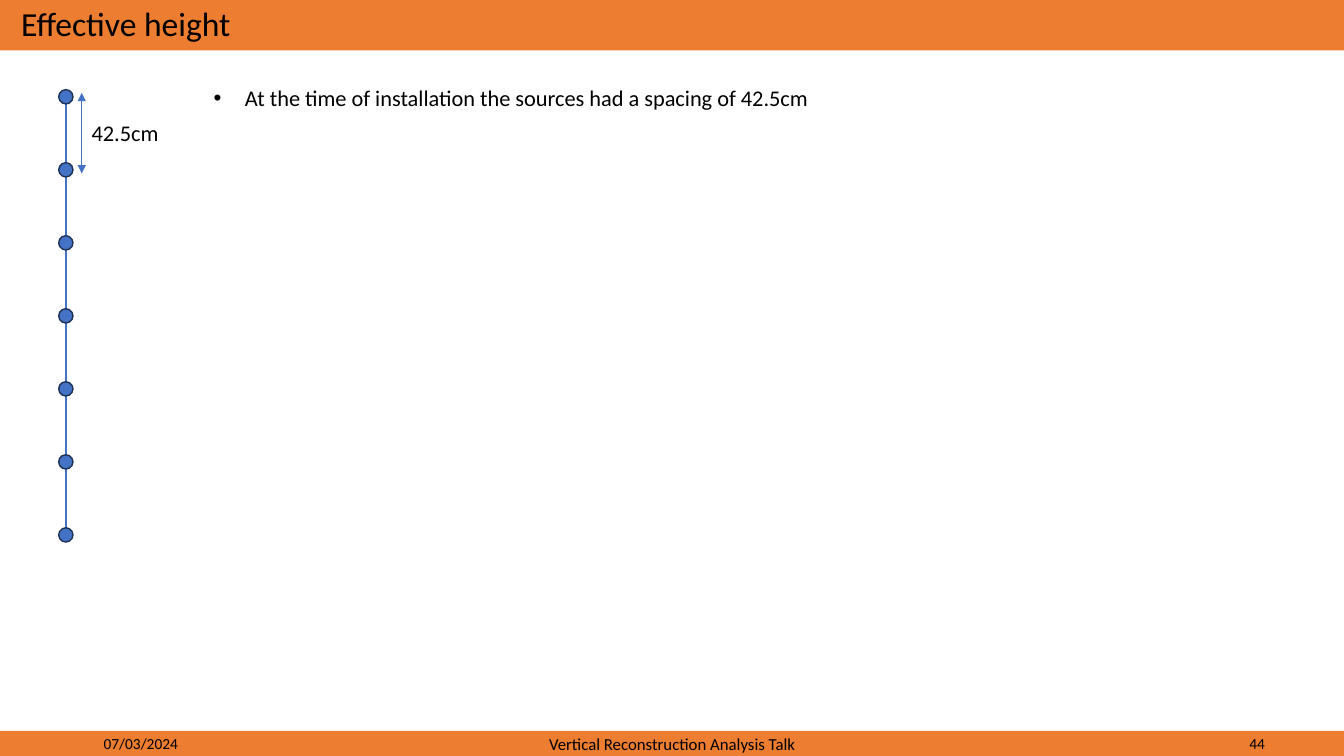
"""Build the slide on the effective height of a string of sources."""
from dataclasses import dataclass

import lxml.etree
import pptx
import pptx.dml.color
import pptx.enum.shapes
import pptx.enum.text
import pptx.oxml.ns
import pptx.shapes.connector
import pptx.slide
import pptx.text.text
import pptx.util

Cm = pptx.util.Cm
Pt = pptx.util.Pt
RGBColor = pptx.dml.color.RGBColor
Align = pptx.enum.text.PP_ALIGN
Anchor = pptx.enum.text.MSO_ANCHOR
Preset = pptx.enum.shapes.MSO_SHAPE
qn = pptx.oxml.ns.qn

ORANGE = RGBColor(0xED, 0x7D, 0x31)
BLUE = RGBColor(0x44, 0x72, 0xC4)
NAVY = RGBColor(0x1E, 0x32, 0x56)
BLACK = RGBColor(0x00, 0x00, 0x00)

SLIDE_WIDTH, SLIDE_HEIGHT = 33.87, 19.05
HEADER_HEIGHT, FOOTER_HEIGHT = 1.27, 0.63
FOOTER_TOP = SLIDE_HEIGHT - FOOTER_HEIGHT
STRING_X = 1.66
SOURCE_COUNT, SOURCE_SIZE = 7, 0.36
FIRST_SOURCE_Y, SOURCE_SPACING = 2.44, 1.84
SPACING_X = 2.06


@dataclass(frozen=True)
class Box:
    left: float
    top: float
    width: float
    height: float


@dataclass(frozen=True)
class Caption:
    text: str
    box: Box
    size: float
    align: Align = Align.LEFT
    anchor: Anchor = Anchor.MIDDLE
    wrap: bool = True


TITLE = Caption("Effective height", Box(0.28, 0, 29.21, HEADER_HEIGHT), 24)
FINDING = Caption("At the time of installation the sources had a spacing of 42.5cm",
                  Box(5.13, 2.0, 15.7, 1.63), 16, anchor=Anchor.TOP, wrap=False)
CAPTIONS = (
    Caption("07/03/2024", Box(2.36, FOOTER_TOP, 7.62, FOOTER_HEIGHT), 11),
    Caption("Vertical Reconstruction Analysis Talk",
            Box(11.23, FOOTER_TOP, 11.43, FOOTER_HEIGHT), 12, Align.CENTER),
    Caption("44", Box(24.51, FOOTER_TOP, 7.62, FOOTER_HEIGHT), 11, Align.RIGHT),
    Caption("42.5cm", Box(SPACING_X, 2.87, 2.21, 0.94), 16,
            anchor=Anchor.TOP, wrap=False),
)
BARS = (
    Box(0, 0, SLIDE_WIDTH, HEADER_HEIGHT),
    Box(0, FOOTER_TOP, SLIDE_WIDTH, FOOTER_HEIGHT),
)


def write(frame: pptx.text.text.TextFrame, caption: Caption) -> None:
    """Put the caption in a text frame and format it."""
    frame.text = caption.text
    frame.word_wrap = caption.wrap
    frame.auto_size = pptx.enum.text.MSO_AUTO_SIZE.NONE
    frame.vertical_anchor = caption.anchor
    line = frame.paragraphs[0]
    line.alignment = caption.align
    line.font.name = "Calibri"
    line.font.size = Pt(caption.size)
    line.font.color.rgb = BLACK


def add_caption(slide: pptx.slide.Slide, caption: Caption) -> None:
    """Add a caption in its own text box."""
    box = caption.box
    label = slide.shapes.add_textbox(
        Cm(box.left), Cm(box.top), Cm(box.width), Cm(box.height))
    write(label.text_frame, caption)


def fill_placeholder(slide: pptx.slide.Slide, index: int,
                     caption: Caption) -> pptx.text.text.TextFrame:
    """Move a placeholder and fill it with the caption."""
    holder, box = slide.placeholders[index], caption.box
    holder.left, holder.top = Cm(box.left), Cm(box.top)
    holder.width, holder.height = Cm(box.width), Cm(box.height)
    write(holder.text_frame, caption)
    return holder.text_frame


def add_bullet(paragraph: pptx.text.text._Paragraph) -> None:
    """Give the paragraph a round bullet with a hanging indent."""
    properties = paragraph._p.get_or_add_pPr()
    properties.set("marL", str(Cm(0.79)))
    properties.set("indent", str(-Cm(0.79)))
    bullet_font = lxml.etree.Element(qn("a:buFont"), typeface="Arial")
    bullet = lxml.etree.Element(qn("a:buChar"), char="•")
    defaults = properties.find(qn("a:defRPr"))
    defaults.addprevious(bullet_font)
    defaults.addprevious(bullet)


def add_bar(slide: pptx.slide.Slide, box: Box) -> None:
    """Add an orange bar behind everything else."""
    bar = slide.shapes.add_shape(
        Preset.RECTANGLE, Cm(box.left), Cm(box.top), Cm(box.width), Cm(box.height))
    bar.shadow.inherit = False
    bar.fill.solid()
    bar.fill.fore_color.rgb = ORANGE
    bar.line.fill.background()
    slide.shapes.element.insert(2, bar.element)


def add_vertical(slide: pptx.slide.Slide, x: float, top: float, bottom: float,
                 weight: float) -> pptx.shapes.connector.Connector:
    """Add a vertical blue line."""
    line = slide.shapes.add_connector(
        pptx.enum.shapes.MSO_CONNECTOR.STRAIGHT, Cm(x), Cm(top), Cm(x), Cm(bottom))
    line.line.color.rgb = BLUE
    line.line.width = Pt(weight)
    lxml.etree.SubElement(line.element.spPr, qn("a:effectLst"))
    return line


def add_source(slide: pptx.slide.Slide, y: float) -> None:
    """Add one source centred on the string."""
    source = slide.shapes.add_shape(
        Preset.OVAL, Cm(STRING_X - SOURCE_SIZE / 2), Cm(y - SOURCE_SIZE / 2),
        Cm(SOURCE_SIZE), Cm(SOURCE_SIZE))
    source.shadow.inherit = False
    source.fill.solid()
    source.fill.fore_color.rgb = BLUE
    source.line.color.rgb = NAVY
    source.line.width = Pt(1)


def main() -> None:
    """Build and save the slide."""
    talk = pptx.Presentation()
    talk.slide_width, talk.slide_height = Cm(SLIDE_WIDTH), Cm(SLIDE_HEIGHT)
    slide = talk.slides.add_slide(talk.slide_layouts[1])

    for bar in BARS:
        add_bar(slide, bar)
    heading = fill_placeholder(slide, 0, TITLE)
    heading.paragraphs[0].line_spacing = 0.9
    finding = fill_placeholder(slide, 1, FINDING).paragraphs[0]
    finding.space_before = Pt(0)
    add_bullet(finding)

    last_source_y = FIRST_SOURCE_Y + (SOURCE_COUNT - 1) * SOURCE_SPACING
    add_vertical(slide, STRING_X, FIRST_SOURCE_Y, last_source_y, 1.5)
    for number in range(SOURCE_COUNT):
        add_source(slide, FIRST_SOURCE_Y + number * SOURCE_SPACING)

    spacing = add_vertical(slide, SPACING_X, 2.34, 4.37, 0.5)
    outline = spacing.line._get_or_add_ln()
    for end in ("a:headEnd", "a:tailEnd"):
        lxml.etree.SubElement(outline, qn(end), type="triangle")

    for caption in CAPTIONS:
        add_caption(slide, caption)
    talk.save("out.pptx")


if __name__ == "__main__":
    main()
